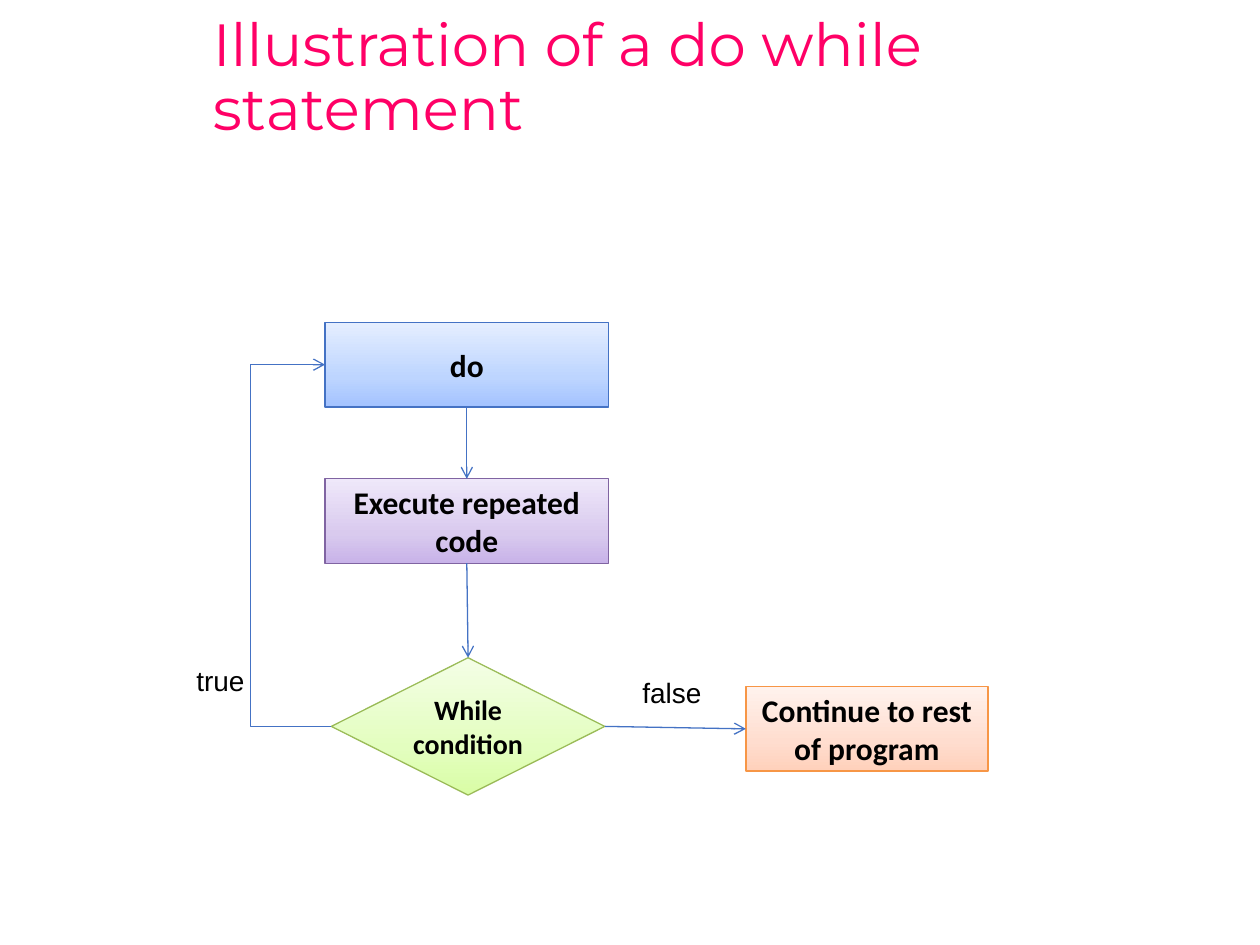
from copy import deepcopy
from dataclasses import dataclass
from lxml import etree
from pptx import Presentation
from pptx.dml.color import RGBColor
from pptx.enum.shapes import MSO_CONNECTOR, MSO_SHAPE
from pptx.enum.text import MSO_ANCHOR, PP_ALIGN
from pptx.oxml.ns import qn
from pptx.util import Inches, Pt

STEP = MSO_SHAPE.FLOWCHART_PROCESS
TEST = MSO_SHAPE.FLOWCHART_DECISION
LINE, BENT = MSO_CONNECTOR.STRAIGHT, MSO_CONNECTOR.ELBOW
MIDDLE, UPPER = MSO_ANCHOR.MIDDLE, MSO_ANCHOR.TOP
CENTER, START = PP_ALIGN.CENTER, PP_ALIGN.LEFT
TOP, LEFT, BOTTOM, RIGHT = range(4)


@dataclass(frozen=True)
class Theme:
    pink: str = "FF0066"
    ink: str = "000000"
    edge: str = "4472C4"
    blue: tuple = ("4472C4", "A3C2FF", "BDD5FF", "E5EEFF")
    purple: tuple = ("8064A2", "C8B3E9", "D9CAEE", "EFE8FA")
    green: tuple = ("9BBB59", "D9FDA5", "E3FEBF", "F4FEE6")
    orange: tuple = ("F79646", "FFD1BB", "FFDDCF", "FFF2ED")
    stops: tuple = (0, 0.35, 1)
    head: str = "Montserrat"
    body: str = "Calibri"
    note: str = "Arial"
    title: int = 34
    large: int = 18
    small: int = 16
    stroke: float = 0.75


class Flow:
    def __init__(self, deck, theme):
        self.theme = theme
        self.slide = deck.slides.add_slide(deck.slide_layouts[6])
        self.col = deck.slide_width / 10
        self.row = deck.slide_height / 7.5

    def place(self, x, y, *size):
        spot = [round(x * self.col), round(y * self.row)]
        if size:
            spot += self.place(*size)
        return spot

    def letter(self, shape, text, font, size, color, bold=False,
               align=START, anchor=UPPER, wrap=True):
        frame = shape.text_frame
        frame.word_wrap = wrap
        frame.vertical_anchor = anchor
        para = frame.paragraphs[0]
        para.text = text
        para.alignment = align
        para.font.name = font
        para.font.size = Pt(size)
        para.font.bold = bold
        para.font.color.rgb = RGBColor.from_string(color)
        return para

    def title(self, text, *area):
        box = self.slide.shapes.add_textbox(*self.place(*area))
        para = self.letter(box, text, self.theme.head, self.theme.title,
                           self.theme.pink, anchor=MIDDLE)
        para.line_spacing = 0.9

    def label(self, text, *area):
        box = self.slide.shapes.add_textbox(*self.place(*area))
        self.letter(box, text, self.theme.note, self.theme.small,
                    self.theme.ink, wrap=False)

    def node(self, kind, text, tones, size, *area):
        shape = self.slide.shapes.add_shape(kind, *self.place(*area))
        shape.shadow.inherit = False
        edge, *shades = tones
        shape.fill.gradient()
        shape.fill.gradient_angle = 90
        group = shape._element.spPr.find(".//" + qn("a:gsLst"))
        group.append(deepcopy(group[-1]))
        for stop, spot, shade in zip(shape.fill.gradient_stops,
                                     self.theme.stops, shades):
            stop.position = spot
            stop.color.rgb = RGBColor.from_string(shade)
        self.stroke(shape.line, edge)
        self.letter(shape, text, self.theme.body, size, self.theme.ink,
                    True, CENTER, MIDDLE)
        return shape

    def stroke(self, line, color):
        line.color.rgb = RGBColor.from_string(color)
        line.width = Pt(self.theme.stroke)

    def arrow(self, begin, side, end, goal, lane=None):
        kind = LINE if lane is None else BENT
        link = self.slide.shapes.add_connector(kind, 0, 0, 0, 0)
        link.begin_connect(begin, side)
        link.end_connect(end, goal)
        self.stroke(link.line, self.theme.edge)
        props = link._element.spPr
        tail = etree.SubElement(props.find(qn("a:ln")), qn("a:tailEnd"))
        tail.set("type", "arrow")
        etree.SubElement(props, qn("a:effectLst"))
        if lane is not None:
            turn = (lane * self.col - link.begin_x) / (link.end_x - link.begin_x)
            geom = props.find(qn("a:prstGeom"))
            guide = etree.SubElement(geom.find(qn("a:avLst")), qn("a:gd"))
            guide.set("name", "adj1")
            guide.set("fmla", f"val {round(turn * 100000)}")


deck = Presentation()
deck.slide_width, deck.slide_height = Inches(10), Inches(7.5)
theme = Theme()
flow = Flow(deck, theme)

flow.title("Illustration of a do while statement", 1.59, 0.01, 8.41, 1.24)
start = flow.node(STEP, "do", theme.blue, theme.large, 2.58, 2.56, 2.25, 0.67)
test = flow.node(TEST, "While condition", theme.green, theme.small,
                 2.63, 5.22, 2.17, 1.09)
work = flow.node(STEP, "Execute repeated code", theme.purple, theme.large,
                 2.58, 3.8, 2.25, 0.67)
rest = flow.node(STEP, "Continue to rest of program", theme.orange,
                 theme.large, 5.92, 5.45, 1.92, 0.67)

flow.arrow(test, RIGHT, rest, LEFT)
flow.label("false", 5, 5.31, 0.68, 0.37)
flow.label("true", 1.46, 5.22, 0.59, 0.37)
flow.arrow(test, LEFT, start, LEFT, 1.99)
flow.arrow(start, BOTTOM, work, TOP)
flow.arrow(work, BOTTOM, test, TOP)

deck.save("out.pptx")
